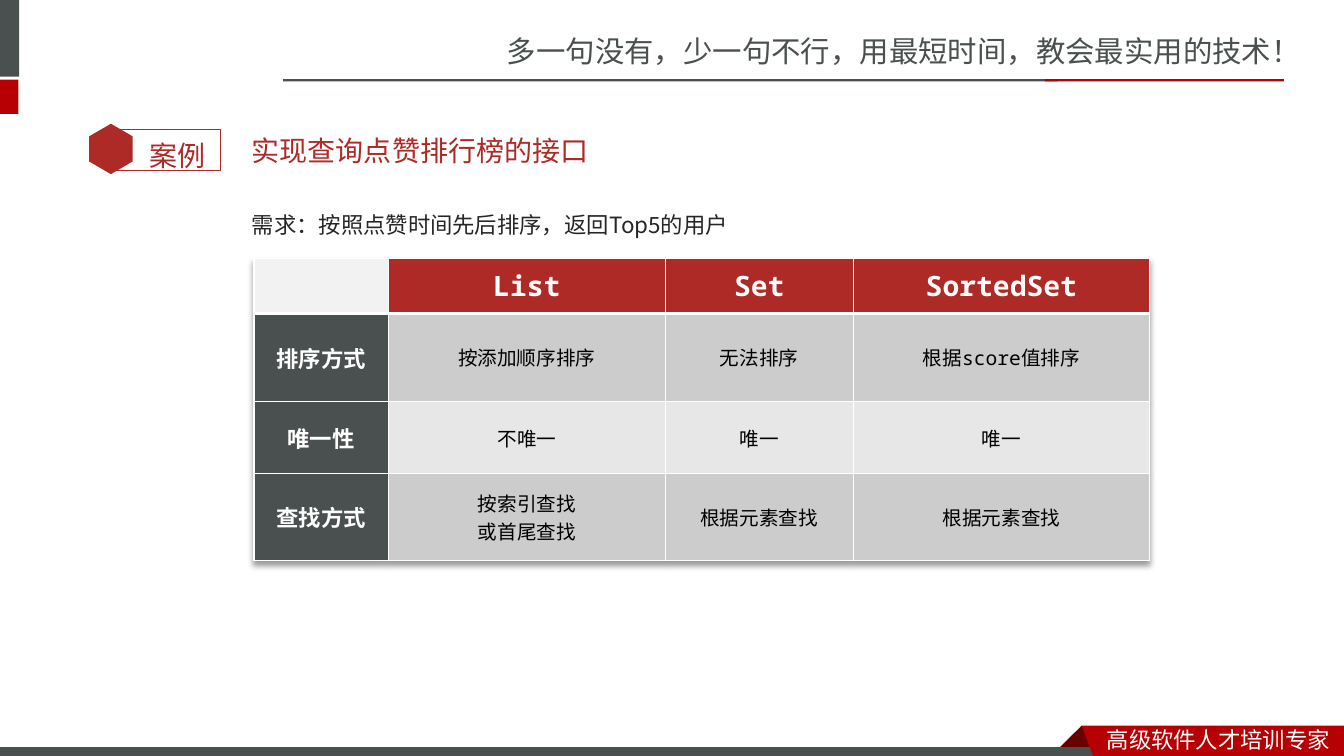
from lxml import etree
from pptx import Presentation
from pptx.dml.color import RGBColor
from pptx.enum.shapes import MSO_SHAPE as Shape
from pptx.enum.text import MSO_ANCHOR as Anchor, PP_ALIGN as Align
from pptx.oxml import parse_xml
from pptx.oxml.ns import qn
from pptx.util import Pt

SLATE, RED, DARK_RED = "49504F", "B60004", "680000"
BRICK, WHITE, BLACK = "AD2A26", "FFFFFF", "000000"
HAN_FONT = "Noto Sans CJK SC"
NS = 'xmlns:a="http://schemas.openxmlformats.org/drawingml/2006/main"'

COLUMN_WIDTHS = [96, 198, 134, 212]
ROW_HEIGHTS = [39.4, 62.6, 51.8, 62]
COMPARISON = [
    ["", "List", "Set", "SortedSet"],
    ["排序方式", "按添加顺序排序", "无法排序", "根据score值排序"],
    ["唯一性", "不唯一", "唯一", "唯一"],
    ["查找方式", "按索引查找\n或首尾查找", "根据元素查找", "根据元素查找"],
]


def rgb(color):
    return RGBColor.from_string(color)


def write(frame, text, size, color, font=HAN_FONT, bold=False, align=None, spacing=None):
    """Fill a text frame, one paragraph per line."""
    frame.text = text
    for paragraph in frame.paragraphs:
        paragraph.alignment = align
        paragraph.line_spacing = spacing
        for run in paragraph.runs:
            run.font.size = Pt(size)
            run.font.bold = bold
            run.font.name = font
            run.font.color.rgb = rgb(color)
            han = etree.SubElement(run.font._element, qn("a:ea"))
            han.set("typeface", HAN_FONT)


def add_text(slide, box, text, size, color, anchor=Anchor.TOP, **style):
    frame = slide.shapes.add_textbox(*map(Pt, box)).text_frame
    frame.word_wrap = True
    frame.vertical_anchor = anchor
    write(frame, text, size, color, **style)


def paint(shape, fill=None, line=None, width=0.75):
    shape.shadow.inherit = False
    if fill:
        shape.fill.solid()
        shape.fill.fore_color.rgb = rgb(fill)
    else:
        shape.fill.background()
    if line:
        shape.line.color.rgb = rgb(line)
        shape.line.width = Pt(width)
    else:
        shape.line.fill.background()


def add_block(slide, box, kind=Shape.RECTANGLE, **look):
    block = slide.shapes.add_shape(kind, *map(Pt, box))
    paint(block, **look)
    return block


def add_outline(slide, corners, fill):
    start, *others = [(Pt(x), Pt(y)) for x, y in corners]
    builder = slide.shapes.build_freeform(*start)
    builder.add_line_segments(others, close=True)
    paint(builder.convert_to_shape(), fill=fill)


def set_borders(cell, **widths):
    properties = cell._tc.get_or_add_tcPr()
    for side in "LRTB":
        properties.append(parse_xml(
            f'<a:ln{side} {NS} w="{Pt(widths.get(side, 1))}"><a:solidFill>'
            f'<a:srgbClr val="{WHITE}"/></a:solidFill></a:ln{side}>'))


def cell_style(row, column):
    """Return the fill and the text format for a place in the table."""
    if row == 0:
        fill = BRICK if column else "F2F2F2"
        return fill, dict(size=20, color=WHITE, bold=True)
    if column == 0:
        return SLATE, dict(size=16, color=WHITE, bold=True)
    return ("CCCCCC" if row % 2 else "E7E7E7"), dict(size=14, color=BLACK)


def add_comparison(slide, left, top):
    table = slide.shapes.add_table(
        len(ROW_HEIGHTS), len(COLUMN_WIDTHS), Pt(left), Pt(top),
        Pt(sum(COLUMN_WIDTHS)), Pt(sum(ROW_HEIGHTS))).table
    # Soft shadow below the table
    table._tbl.tblPr.insert(0, parse_xml(
        f'<a:effectLst {NS}><a:outerShdw blurRad="{Pt(4)}" dist="{Pt(3)}" dir="5400000" '
        f'algn="t" rotWithShape="0"><a:srgbClr val="{BLACK}"><a:alpha val="40000"/>'
        '</a:srgbClr></a:outerShdw></a:effectLst>'))
    for column, width in zip(table.columns, COLUMN_WIDTHS):
        column.width = Pt(width)
    for row, height in zip(table.rows, ROW_HEIGHTS):
        row.height = Pt(height)
    for r, labels in enumerate(COMPARISON):
        for c, label in enumerate(labels):
            cell = table.cell(r, c)
            fill, style = cell_style(r, c)
            set_borders(cell, T=3 if r == 1 else 1, B=3 if r == 0 else 1)
            cell.fill.solid()
            cell.fill.fore_color.rgb = rgb(fill)
            cell.vertical_anchor = Anchor.MIDDLE
            write(cell.text_frame, label, font="Noto Sans Mono", align=Align.CENTER, **style)


def add_header(slide):
    add_text(slide, (355, 20.2, 605.5, 33.8),
             "多一句没有，少一句不行，用最短时间，教会最实用的技术！", 21, SLATE)
    add_block(slide, (-4.3, 0, 18, 54.7), fill=SLATE)
    add_block(slide, (-4.3, 56.9, 17.5, 24.5), fill=RED)
    add_block(slide, (202.3, 56.6, 553, 1.6), fill=SLATE)
    add_block(slide, (746.6, 56.6, 170.6, 1.6), fill=RED)


def add_footer(slide):
    add_outline(slide, [(772.6, 518.4), (788.4, 534.2), (787.7, 535),
                        (757.4, 535), (756.7, 534.2)], DARK_RED)
    add_block(slide, (-0.7, 533.9, 789, 6.5), fill=SLATE, line=SLATE)
    add_outline(slide, [(772.6, 518.4), (960, 518.4), (960, 543), (782, 543)], RED)
    add_text(slide, (783.4, 514.8, 176.4, 26.6), "高级软件人才培训专家", 16, WHITE)


def add_case_badge(slide):
    add_block(slide, (78.8, 92.4, 78.8, 29.6), line=BRICK, width=1)
    hexagon = add_block(slide, (61.2, 90.9, 36, 31), Shape.HEXAGON, fill=BRICK)
    hexagon.adjustments[0] = 0.29
    hexagon.rotation = 90
    add_text(slide, (99.4, 83.5, 61.2, 40.3), "案例", 20, BRICK, font="Arial", spacing=1.5)


def main():
    deck = Presentation()
    deck.slide_width, deck.slide_height = Pt(960), Pt(540)
    slide = deck.slides.add_slide(deck.slide_layouts[6])

    # Frame of the slide
    add_header(slide)
    add_footer(slide)

    # Case title and requirement
    add_case_badge(slide)
    add_text(slide, (172.8, 87.1, 725.8, 41), "实现查询点赞排行榜的接口", 20, BRICK,
             anchor=Anchor.MIDDLE, font="Roboto")
    add_text(slide, (172.8, 137.5, 725.8, 40), "需求：按照点赞时间先后排序，返回Top5的用户",
             16, "262626", font="Noto Sans CJK JP", spacing=1.5)

    # Comparison of the collection types
    add_comparison(slide, 181.4, 184.6)
    deck.save("out.pptx")


if __name__ == "__main__":
    main()
